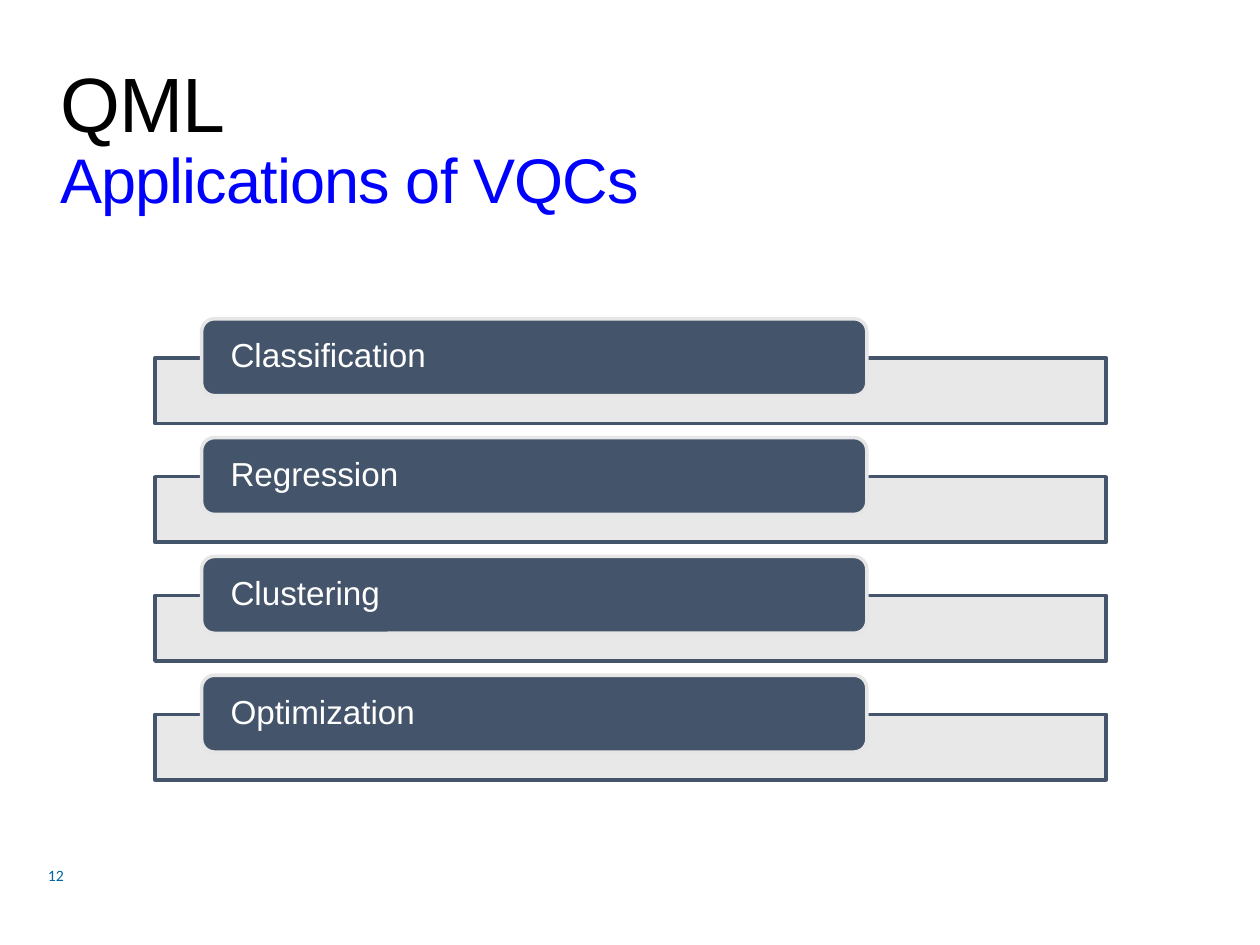
from dataclasses import dataclass

import pptx
import pptx.dml.color
import pptx.enum.shapes
import pptx.enum.text
import pptx.oxml
import pptx.oxml.ns
import pptx.util
from pptx.util import Inches


@dataclass(frozen=True)
class Theme:
    font: str = "Arial"
    number_font: str = "Calibri"
    black: str = "000000"
    blue: str = "0000FF"
    slate: str = "44546A"
    light_gray: str = "E7E6E6"
    white: str = "FFFFFF"
    number_blue: str = "0066A1"
    title_size: float = 44
    subtitle_size: float = 36
    label_size: float = 19
    number_size: float = 9
    outline: float = 2


@dataclass(frozen=True)
class Box:
    left: float
    top: float
    width: float
    height: float

    def lengths(self):
        return [Inches(v) for v in (self.left, self.top, self.width, self.height)]


THEME = Theme()
APPLICATIONS = ("Classification", "Regression", "Clustering", "Optimization")
FIRST_LABEL_TOP = 2.53
ROW_PITCH = 0.943
BAR_DROP = 0.31


def rgb(color: str):
    return pptx.dml.color.RGBColor.from_string(color)


def prepare_frame(frame, side: float, vertical: float, line_spacing: float = 1.0):
    """Set margins and middle anchoring; return the first paragraph."""
    frame.word_wrap = True
    frame.vertical_anchor = pptx.enum.text.MSO_ANCHOR.MIDDLE
    frame.margin_left = frame.margin_right = Inches(side)
    frame.margin_top = frame.margin_bottom = Inches(vertical)
    paragraph = frame.paragraphs[0]
    paragraph.alignment = pptx.enum.text.PP_ALIGN.LEFT
    paragraph.line_spacing = line_spacing
    return paragraph


def add_text(paragraph, text: str, *, size: float, color: str,
             font: str = THEME.font, spacing: float = 0) -> None:
    run = paragraph.add_run()
    run.text = text
    run.font.name = font
    run.font.size = pptx.util.Pt(size)
    run.font.color.rgb = rgb(color)
    if spacing:
        run._r.get_or_add_rPr().set("spc", str(round(spacing * 100)))


def add_panel(slide, kind, box: Box, *, fill: str, line: str, opacity: int = 100):
    shape = slide.shapes.add_shape(kind, *box.lengths())
    shape.shadow.inherit = False
    shape.fill.solid()
    shape.fill.fore_color.rgb = rgb(fill)
    shape.line.color.rgb = rgb(line)
    shape.line.width = pptx.util.Pt(THEME.outline)
    if opacity < 100:
        color = shape._element.spPr.find(".//" + pptx.oxml.ns.qn("a:srgbClr"))
        alpha = color.makeelement(pptx.oxml.ns.qn("a:alpha"), {"val": str(opacity * 1000)})
        color.append(alpha)
    return shape


def add_title(slide) -> None:
    box = slide.shapes.add_textbox(*Box(0.38, 0.4, 9.24, 1.45).lengths())
    paragraph = prepare_frame(box.text_frame, 0.1, 0.05, line_spacing=0.9)
    add_text(paragraph, "QML", size=THEME.title_size, color=THEME.black, spacing=-0.5)
    paragraph.add_line_break()
    add_text(paragraph, "Applications of VQCs", size=THEME.subtitle_size,
             color=THEME.blue, spacing=-0.5)


def add_application(slide, name: str, top: float) -> None:
    shapes = pptx.enum.shapes.MSO_SHAPE
    add_panel(slide, shapes.RECTANGLE, Box(1.23, top + BAR_DROP, 7.55, 0.52),
              fill=THEME.light_gray, line=THEME.slate, opacity=90)
    label = add_panel(slide, shapes.ROUNDED_RECTANGLE, Box(1.6, top, 5.28, 0.61),
                      fill=THEME.slate, line=THEME.light_gray)
    paragraph = prepare_frame(label.text_frame, 0.2, 0, line_spacing=0.9)
    add_text(paragraph, name, size=THEME.label_size, color=THEME.white)


def add_slide_number(slide) -> None:
    box = slide.shapes.add_textbox(*Box(0.31, 6.75, 1.69, 0.4).lengths())
    paragraph = prepare_frame(box.text_frame, 0.07, 0.04)
    add_text(paragraph, "12", size=THEME.number_size, color=THEME.number_blue,
             font=THEME.number_font)


def main() -> None:
    presentation = pptx.Presentation()
    presentation.slide_width = Inches(10)
    presentation.slide_height = Inches(7.5)
    slide = presentation.slides.add_slide(presentation.slide_layouts[6])
    add_slide_number(slide)
    add_title(slide)
    for row, name in enumerate(APPLICATIONS):
        add_application(slide, name, FIRST_LABEL_TOP + row * ROW_PITCH)
    presentation.save("out.pptx")


if __name__ == "__main__":
    main()
